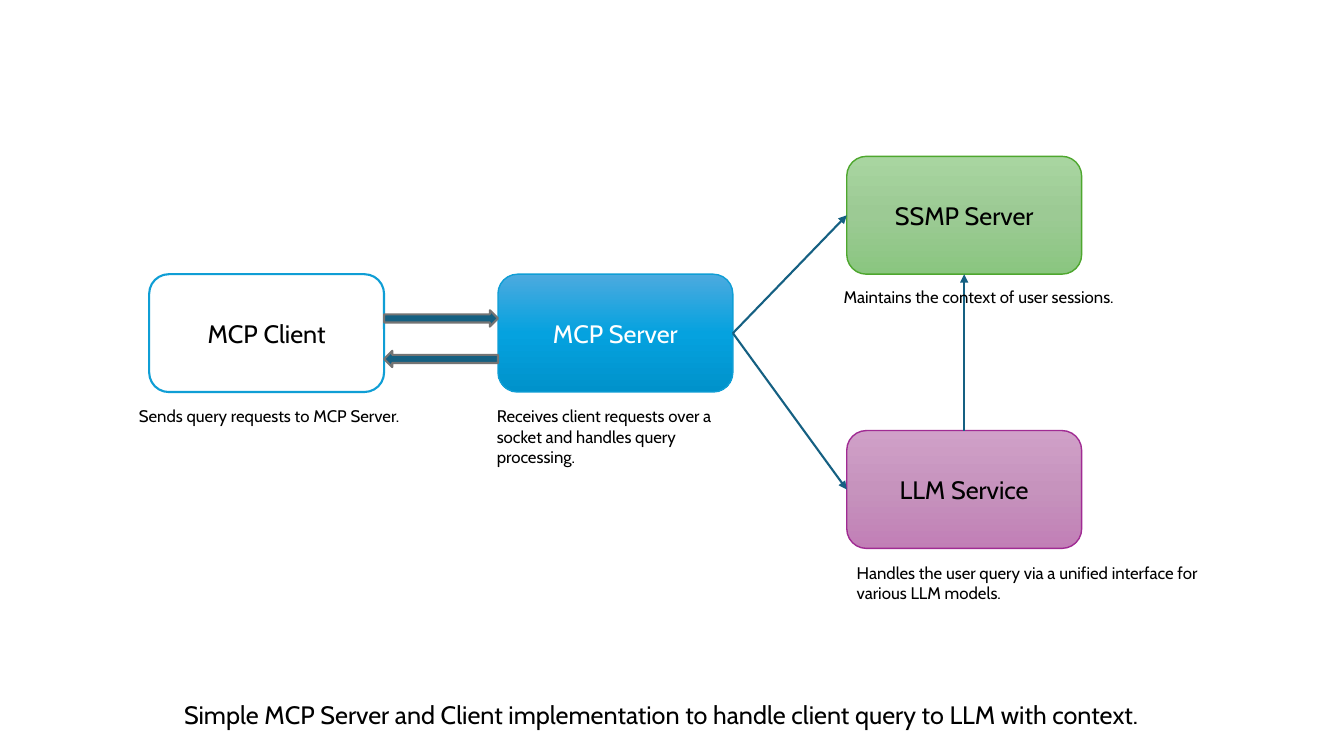
from copy import deepcopy

from pptx import Presentation
from pptx.dml.color import RGBColor
from pptx.enum import shapes, text
from pptx.oxml.ns import qn
from pptx.oxml.xmlchemy import OxmlElement
from pptx.util import Cm, Pt


def rgb(value):
    return RGBColor.from_string(value)


def write(shape, words, size, color, align):
    tf = shape.text_frame
    tf.word_wrap = True
    p = tf.paragraphs[0]
    p.alignment = align
    r = p.add_run()
    r.text = words
    for name, value in {"name": "Cabin", "size": Pt(size)}.items():
        setattr(r.font, name, value)
    r.font.color.rgb = rgb(color)


prs = Presentation()
prs.slide_width, prs.slide_height = Cm(33.87), Cm(19.05)
s = prs.slides.add_slide(prs.slide_layouts[6])

# Component boxes in three columns
LEFT, STEP, BOX_W, BOX_H = 3.76, 8.79, 5.92, 2.97
boxes = {}
for name, column, top, fills, line, width, color in [
    ("MCP Client", 0, 6.91, ["FFFFFF"], "0F9ED5", 1.5, "000000"),
    ("MCP Server", 1, 6.91, ["4CAADF", "05A2DF", "0092CB"], "0F9ED5", 1, "FFFFFF"),
    ("SSMP Server", 2, 3.94, ["A8D5A0", "9CCA94", "8AC680"], "4EA72E", 1, "000000"),
    ("LLM Service", 2, 10.85, ["D0A0C8", "C693BD", "C17FB6"], "A02B93", 1, "000000"),
]:
    sp = s.shapes.add_shape(shapes.MSO_SHAPE.ROUNDED_RECTANGLE,
                            Cm(LEFT + column * STEP), Cm(top), Cm(BOX_W), Cm(BOX_H))
    sp.shadow.inherit = False
    if len(fills) == 1:
        sp.fill.solid()
        sp.fill.fore_color.rgb = rgb(fills[0])
    else:
        sp.fill.gradient()
        sp.fill.gradient_angle = 270
        stops = sp._element.spPr.find(".//" + qn("a:gsLst"))
        stops.append(deepcopy(stops[0]))
        for i, stop in enumerate(sp.fill.gradient_stops):
            stop.position = i / 2
            stop.color.rgb = rgb(fills[i])
    sp.line.color.rgb = rgb(line)
    sp.line.width = Pt(width)
    sp.text_frame.vertical_anchor = text.MSO_ANCHOR.MIDDLE
    write(sp, name, 18, color, text.PP_ALIGN.CENTER)
    boxes[name] = sp

# Request and reply arrows between client and server
for top, rotation in [(7.82, 0), (8.84, 180)]:
    sp = s.shapes.add_shape(shapes.MSO_SHAPE.RIGHT_ARROW, Cm(LEFT + BOX_W), Cm(top),
                            Cm(STEP - BOX_W), Cm(0.41))
    sp.rotation = rotation
    sp.shadow.inherit = False
    sp.fill.solid()
    sp.fill.fore_color.rgb = rgb("156082")
    sp.line.color.rgb = rgb("747474")
    sp.line.width = Pt(1.5)

# Connectors between services
for start, start_side, end, end_side in [
    ("MCP Server", 3, "SSMP Server", 1),
    ("MCP Server", 3, "LLM Service", 1),
    ("LLM Service", 0, "SSMP Server", 2),
]:
    c = s.shapes.add_connector(shapes.MSO_CONNECTOR.STRAIGHT, 0, 0, 0, 0)
    c.begin_connect(boxes[start], start_side)
    c.end_connect(boxes[end], end_side)
    c.line.color.rgb = rgb("156082")
    c.line.width = Pt(1.5)
    head = OxmlElement("a:tailEnd")
    head.set("type", "triangle")
    c._element.spPr.find(qn("a:ln")).append(head)
    c._element.spPr.append(OxmlElement("a:effectLst"))

# Captions
for words, left, top, width, height, size in [
    ("Sends query requests to MCP Server.", 3.25, 10.11, 8.28, 0.76, 12),
    ("Receives client requests over a socket and handles query processing.",
     12.27, 10.11, 6.58, 1.8, 12),
    ("Maintains the context of user sessions.", 21.01, 7.09, 9.09, 0.76, 12),
    ("Handles the user query via a unified interface for various LLM models.",
     21.34, 14.05, 9.55, 1.27, 12),
    ("Simple MCP Server and Client implementation to handle client query to LLM with context.",
     4.39, 17.5, 25.1, 1.02, 18),
]:
    sp = s.shapes.add_textbox(Cm(left), Cm(top), Cm(width), Cm(height))
    sp.text_frame.auto_size = text.MSO_AUTO_SIZE.SHAPE_TO_FIT_TEXT
    write(sp, words, size, "000000", text.PP_ALIGN.LEFT)

prs.save("out.pptx")
